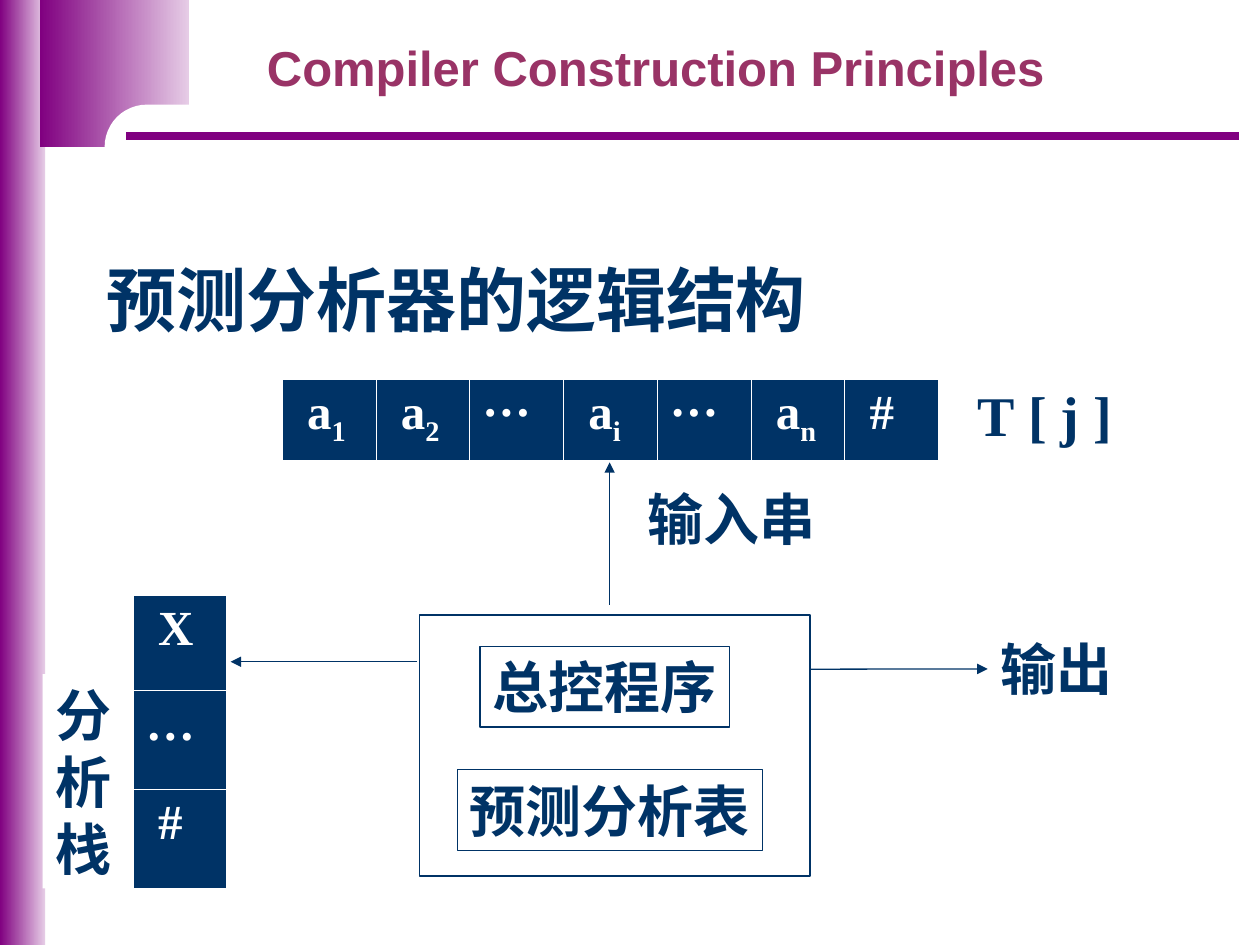
from lxml import etree
from pptx import Presentation
from pptx import util as u
from pptx.dml.color import RGBColor
from pptx.enum import shapes, text
from pptx.oxml import parse_xml
from pptx.oxml.ns import qn

NAVY = RGBColor(0x00, 0x33, 0x66)
PURPLE = RGBColor(0x80, 0x00, 0x80)
LILAC = RGBColor(0xE6, 0xCC, 0xE6)
ROSE = RGBColor(0x99, 0x33, 0x66)
WHITE = RGBColor(0xFF, 0xFF, 0xFF)
SERIF = "Times New Roman"
BOX = shapes.MSO_SHAPE.RECTANGLE
ROUND = shapes.MSO_SHAPE.ROUNDED_RECTANGLE
NS = "http://schemas.openxmlformats.org/drawingml/2006/main"

# Places are left, top, width, height in cm
BANDS = [(0, 0, 0.91, 19.05), (0.81, 0, 3, 2.97)]
NOTCH = (2.11, 2.11, 14.17, 1.7)
RULE = (2.54, 2.74, 24.97, 2.74)
TITLE = ("Compiler Construction Principles", (4.85, 0.64, 16.74, 1.45))
HEAD = ("预测分析器的逻辑结构", (1.9, 5.05, 14.6, 1.96))
FRAME = (8.46, 12.4, 7.87, 5.26)
PARTS = [
    ("预测分析表", (9.22, 15.52, 6.15, 1.63)),
    ("总控程序", (9.68, 13.03, 5.03, 1.63)),
]
INDEX = ("T [ j ]", (19.46, 7.54, 3.23, 1.63))
INPUT = ("输入串", (12.8, 9.65, 3.89, 1.63))
OUTPUT = ("输出", (19.91, 12.67, 2.77, 1.63))
STACK = ("分\n析\n栈", (0.86, 13.59, 1.63, 4.32))

# Cells hold a symbol and its subscript
TAPE = [[("a", "1"), ("a", "2"), ("···", ""), ("a", "i"),
         ("···", ""), ("a", "n"), ("#", "")]]
CELLS = [[("X", "")], [("…", "")], [("#", "")]]

ARROWS = [(12.29, 12.19, 12.29, 9.32), (8.41, 13.34, 4.65, 13.34)]
EXIT = (16.33, 13.49, 19.91, 13.49)

deck = Presentation()
deck.slide_width, deck.slide_height = u.Cm(25.4), u.Cm(19.05)
slide = deck.slides.add_slide(deck.slide_layouts[6])


def write(frame, words, size=32, font="Arial", color=NAVY, align=None, sub=""):
    """Fill a text frame, one paragraph a line; sub is a final subscript."""
    for n, line in enumerate(words.split("\n")):
        para = frame.paragraphs[0] if n == 0 else frame.add_paragraph()
        para.alignment = align or text.PP_ALIGN.LEFT
        for part in filter(None, (line, sub)):
            run = para.add_run()
            run.text = part
            run.font.size, run.font.bold = u.Pt(size), True
            run.font.name, run.font.color.rgb = font, color
            if part == sub:
                run.font._element.set("baseline", "-25000")


def block(place, line=None, kind=BOX):
    shape = slide.shapes.add_shape(kind, *map(u.Cm, place))
    shape.shadow.inherit = False
    shape.fill.solid()
    shape.fill.fore_color.rgb = WHITE
    if line is None:
        shape.line.fill.background()
    else:
        shape.line.color.rgb, shape.line.width = line, u.Pt(0.75)
    return shape


def label(words, place, line=None, **look):
    shape = block(place, line)
    frame = shape.text_frame
    frame.word_wrap = False
    frame.vertical_anchor = text.MSO_ANCHOR.TOP
    write(frame, words, **look)
    return shape


def wire(ends, color=NAVY, width=0.75, head=True):
    link = slide.shapes.add_connector(
        shapes.MSO_CONNECTOR.STRAIGHT, *map(u.Cm, ends))
    link.line.color.rgb, link.line.width = color, u.Pt(width)
    if head:
        tip = etree.SubElement(link.line._get_or_add_ln(), qn("a:tailEnd"))
        tip.set("type", "triangle")
    etree.SubElement(link._element.spPr, qn("a:effectLst"))
    return link


def grid(rows, left, top, wide, highs):
    """Draw a table of equal columns, with thin white borders."""
    cols = len(rows[0])
    table = slide.shapes.add_table(
        len(rows), cols, u.Cm(left), u.Cm(top),
        u.Cm(wide * cols), u.Cm(sum(highs))).table
    table.first_row = table.horz_banding = False
    for col in table.columns:
        col.width = u.Cm(wide)
    for r, row in enumerate(rows):
        table.rows[r].height = u.Cm(highs[r])
        for c, (sign, sub) in enumerate(row):
            cell = table.cell(r, c)
            cell.margin_left = u.Cm(0.25 if sign in ("···", "…") else 0.5)
            write(cell.text_frame, sign, size=28, font=SERIF,
                  color=WHITE, sub=sub)
            props = cell._tc.get_or_add_tcPr()
            for side in ("lnL", "lnR", "lnT", "lnB"):
                props.append(parse_xml(
                    f'<a:{side} xmlns:a="{NS}" w="{u.Pt(0.45)}"><a:solidFill>'
                    f'<a:srgbClr val="{WHITE}"/></a:solidFill></a:{side}>'))
            cell.fill.solid()
            cell.fill.fore_color.rgb = NAVY


# Page frame
for place in BANDS:
    fill = block(place).fill
    fill.gradient()
    fill.gradient_angle = 0
    for stop, color in zip(fill.gradient_stops, (PURPLE, LILAC)):
        stop.color.rgb = color
block(NOTCH, kind=ROUND).adjustments[0] = 0.5
wire(RULE, PURPLE, 4.5, head=False)
words, place = TITLE
title = slide.shapes.add_textbox(*map(u.Cm, place)).text_frame
title.word_wrap = True
write(title, words, size=28, color=ROSE, align=text.PP_ALIGN.CENTER)

# Parser diagram
label(*HEAD, size=40)
block(FRAME, NAVY)
for part in PARTS:
    label(*part, line=NAVY)
grid(TAPE, 5.69, 7.65, 1.89, [1.63])
label(*INDEX, font=SERIF)
label(*INPUT)
for ends in ARROWS:
    wire(ends)
grid(CELLS, 2.69, 12.01, 1.88, [1.9, 2, 2])
out = label(*OUTPUT)
wire(EXIT).end_connect(out, 1)
label(*STACK)

deck.save("out.pptx")
